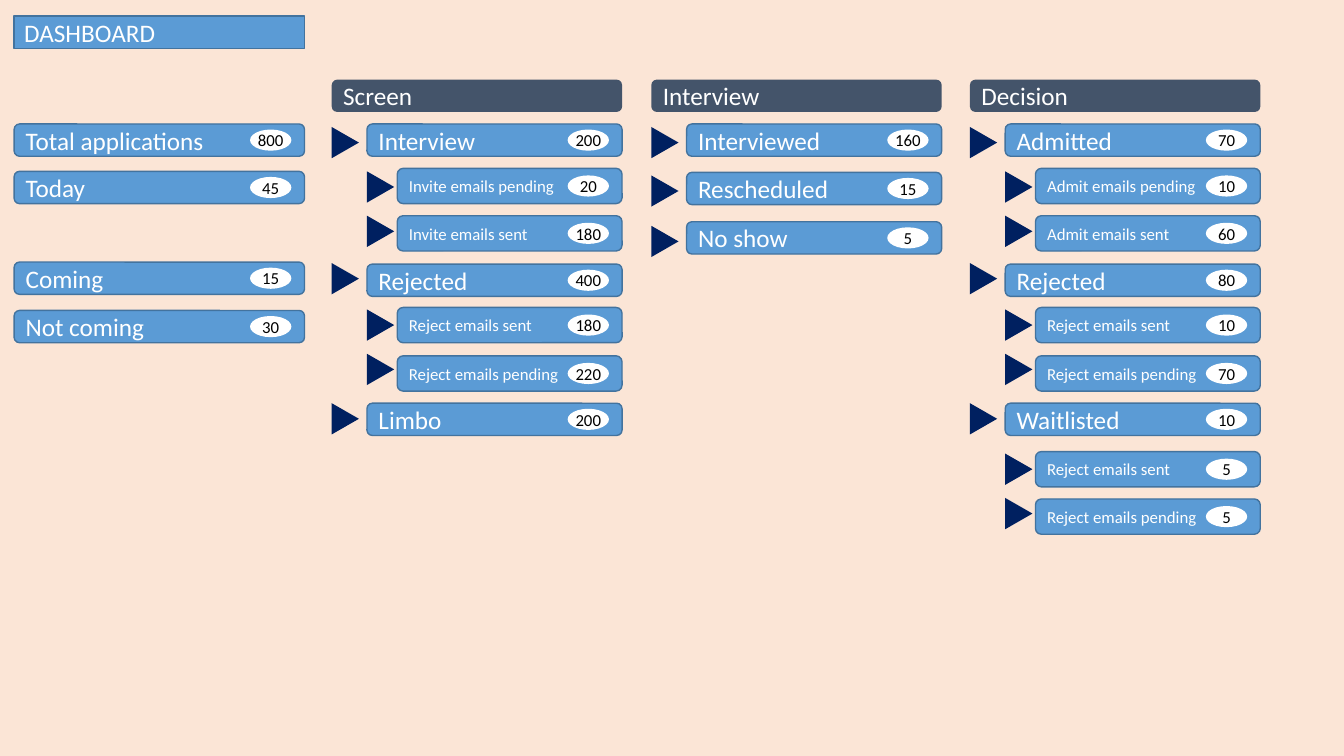
import pptx
import pptx.util
import pptx.dml.color
import pptx.enum.shapes
import pptx.enum.text
import pptx.oxml

TITLE = "DASHBOARD"
# Columns: heading, then (level, label, count); level 0 is full width.
COLUMNS = [
    (None, [(0, "Total applications", 800), (0, "Today", 45),
            (0, "Coming", 15), (0, "Not coming", 30)]),
    ("Screen", [(1, "Interview", 200), (2, "Invite emails pending", 20),
                (2, "Invite emails sent", 180), (1, "Rejected", 400),
                (2, "Reject emails sent", 180), (2, "Reject emails pending", 220),
                (1, "Limbo", 200)]),
    ("Interview", [(1, "Interviewed", 160), (1, "Rescheduled", 15),
                   (1, "No show", 5)]),
    ("Decision", [(1, "Admitted", 70), (2, "Admit emails pending", 10),
                  (2, "Admit emails sent", 60), (1, "Rejected", 80),
                  (2, "Reject emails sent", 10), (2, "Reject emails pending", 70),
                  (1, "Waitlisted", 10), (2, "Reject emails sent", 5),
                  (2, "Reject emails pending", 5)]),
]

# Grid, in inches: row tops, and how far each arrow sits below its row top.
LEFTS = [0.14, 3.29, 6.46, 9.62]
STAGE_TOPS = [1.23, 1.67, 2.14, 2.62, 3.05, 3.53, 4, 4.48, 4.95]
STAGE_DROPS = [0.05, 0.05, 0.02, 0.01, 0.04, 0, 0.02, 0.04, 0.01]
TOPS = [[1.23, 1.7, 2.6, 3.08], STAGE_TOPS, [1.23, 1.71, 2.2], STAGE_TOPS]
DROPS = [[0] * 4, STAGE_DROPS, [0.05, 0.05, 0.06], STAGE_DROPS]
TITLE_TOP, HEADING_TOP = 0.16, 0.79
COLUMN_W = 2.88
INDENTS = [0, 0.35, 0.65]
BAR_H = [0.32, 0.32, 0.35]
BAR_SIZE = [18, 18, 12]
BADGE_X, BADGE_W, BADGE_H = 2.34, 0.41, 0.21
ARROW_W, ARROW_H = 0.31, 0.27

PEACH, BLUE, EDGE, SLATE = "FBE5D6", "5B9BD5", "43739E", "44546A"
NAVY, WHITE, BLACK = "002060", "FFFFFF", "000000"
SHAPE = pptx.enum.shapes.MSO_SHAPE
ALIGN = pptx.enum.text.PP_ALIGN
inch = pptx.util.Inches


def rgb(color):
    return pptx.dml.color.RGBColor.from_string(color)


def paint(s, fill, edge=None):
    s.fill.solid()
    s.fill.fore_color.rgb = rgb(fill)
    if edge:
        s.line.color.rgb = rgb(edge)
        s.line.width = pptx.util.Pt(1)
    else:
        s.line.fill.background()


def write(s, text, size, color, align):
    tf = s.text_frame
    tf.text = text
    tf.auto_size = pptx.enum.text.MSO_AUTO_SIZE.NONE
    tf.vertical_anchor = pptx.enum.text.MSO_ANCHOR.MIDDLE
    p = tf.paragraphs[0]
    p.alignment = align
    p.font.name = "Calibri"
    p.font.size = pptx.util.Pt(size)
    p.font.color.rgb = rgb(color)


def add(kind, left, top, width, height):
    s = slide.shapes.add_shape(kind, inch(left), inch(top), inch(width), inch(height))
    s.shadow.inherit = False
    return s


def add_bar(left, top, level, label, fill=BLUE, edge=EDGE):
    indent = INDENTS[level]
    s = add(SHAPE.ROUNDED_RECTANGLE, left + indent, top, COLUMN_W - indent, BAR_H[level])
    paint(s, fill, edge)
    write(s, label, BAR_SIZE[level], WHITE, ALIGN.LEFT)


def add_badge(left, top, level, count):
    s = add(SHAPE.OVAL, left + BADGE_X, top + (BAR_H[level] - BADGE_H) / 2, BADGE_W, BADGE_H)
    paint(s, WHITE)
    write(s, str(count), 12, BLACK, ALIGN.CENTER)
    tf = s.text_frame
    tf.word_wrap = False
    tf.margin_left = tf.margin_right = tf.margin_top = tf.margin_bottom = 0


def add_arrow(left, top):
    """Add a right-pointing triangle whose visible left edge is at left."""
    s = add(SHAPE.ISOSCELES_TRIANGLE, left - (ARROW_W - ARROW_H) / 2, top, ARROW_W, ARROW_H)
    s.rotation = 90
    paint(s, NAVY)


def format_title(s):
    s.left, s.top = inch(LEFTS[0]), inch(TITLE_TOP)
    s.width, s.height = inch(COLUMN_W), inch(BAR_H[0])
    s.element.spPr.append(pptx.oxml.parse_xml(
        '<a:prstGeom xmlns:a="http://schemas.openxmlformats.org/drawingml/2006/main"'
        ' prst="roundRect"><a:avLst/></a:prstGeom>'))
    paint(s, BLUE, EDGE)
    write(s, TITLE, BAR_SIZE[0], WHITE, ALIGN.LEFT)


prs = pptx.Presentation()
prs.slide_width, prs.slide_height = inch(13.33), inch(7.5)
slide = prs.slides.add_slide(prs.slide_layouts[5])
slide.background.fill.solid()
slide.background.fill.fore_color.rgb = rgb(PEACH)
format_title(slide.shapes.title)

for left, tops, drops, (heading, rows) in zip(LEFTS, TOPS, DROPS, COLUMNS):
    if heading:
        add_bar(left, HEADING_TOP, 0, heading, SLATE, None)
    for top, drop, (level, label, count) in zip(tops, drops, rows):
        add_bar(left, top, level, label)
        add_badge(left, top, level, count)
        if level:
            add_arrow(left + INDENTS[level - 1], top + drop)

prs.save("out.pptx")
